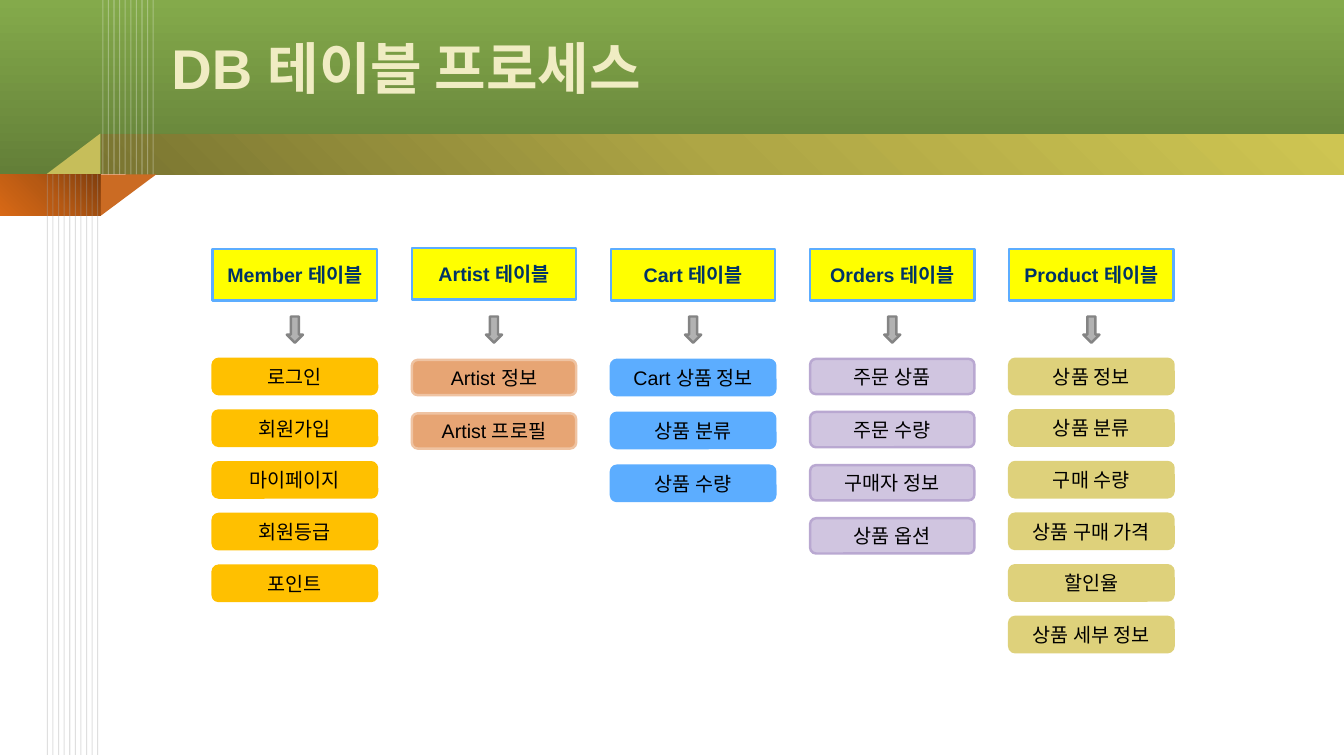
"""Build the slide that lists the database tables and their fields."""
from pptx import Presentation
from pptx.dml.color import RGBColor
from pptx.enum.shapes import MSO_CONNECTOR, MSO_SHAPE
from pptx.enum.text import MSO_ANCHOR, PP_ALIGN
from pptx.oxml import parse_xml
from pptx.oxml.ns import nsdecls, qn
from pptx.util import Inches, Pt

RECT, ROUND = MSO_SHAPE.RECTANGLE, MSO_SHAPE.ROUNDED_RECTANGLE
ARROW, WEDGE = MSO_SHAPE.DOWN_ARROW, MSO_SHAPE.RIGHT_TRIANGLE
LINE = MSO_CONNECTOR.STRAIGHT
MID, LEFT, CENTER = MSO_ANCHOR.MIDDLE, PP_ALIGN.LEFT, PP_ALIGN.CENTER

TITLE = "DB 테이블 프로세스"
TABLES = [
    ("Member 테이블", "gold", "gold", 2.47, 3.56, 0.513,
     ["로그인", "회원가입", "마이페이지", "회원등급", "포인트"]),
    ("Artist 테이블", "peach", "blush", 2.46, 3.57, 0.53,
     ["Artist 정보", "Artist 프로필"]),
    ("Cart 테이블", "blue", "blue", 2.47, 3.57, 0.525,
     ["Cart 상품 정보", "상품 분류", "상품 수량"]),
    ("Orders 테이블", "lilac", "violet", 2.47, 3.56, 0.527,
     ["주문 상품", "주문 수량", "구매자 정보", "상품 옵션"]),
    ("Product 테이블", "sand", "sand", 2.47, 3.56, 0.512,
     ["상품 정보", "상품 분류", "구매 수량", "상품 구매 가격", "할인율", "상품 세부 정보"]),
]
COLORS = {
    "gold": "FFC000", "peach": "E7A574", "blush": "EFC3A2", "blue": "5CADFF",
    "lilac": "D0C5E0", "violet": "B9A8D1", "sand": "DED17B", "yellow": "FFFF00",
    "gray": "B2B2B2", "edge": "848484", "navy": "003366", "black": "000000",
    "cream": "F0ECC3", "rust": "CB6B23", "olive": "C6BE5A",
    "white": "FFFFFF", "ash": "A6A6A6",
}
UP_RIGHT = '<a:lin ang="18900000" scaled="0"/>'
DOWN = '<a:lin ang="5400000" scaled="0"/>'
CORNER = '<a:path path="circle"><a:fillToRect l="100000" b="100000"/></a:path>'
BANDS = [
    ((0, 0, 13.33, 1.73), ["84AA4B", "637F38"], DOWN),
    ((1, 1.33, 12.33, 0.4), ["7A7531", "AEA645", "CEC552"], UP_RIGHT),
    ((0, 1.73, 1, 0.41), ["803E0D", "B65913", "D86916"], CORNER),
]
FOLDS = [((1.07, 1.66, 0.41, 0.55), 90, "rust"),
         ((0.53, 1.26, 0.4, 0.53), 270, "olive")]
STRIPES = [(1.02, 0, 1.73, "white", 30), (0.47, 1.73, 7.49, "ash", 35)]
COUNT, STEP = 10, 0.0555
START, PITCH, WIDE = 2.11, 1.975, 1.63


def rgb(name):
    return RGBColor.from_string(COLORS[name])


def add(slide, kind, box, fill, edge=None):
    shape = slide.shapes.add_shape(kind, *map(Inches, box))
    shape.shadow.inherit = False
    shape.fill.solid()
    shape.fill.fore_color.rgb = rgb(fill)
    if edge:
        shape.line.color.rgb = rgb(edge)
        shape.line.width = Pt(1.75)
    else:
        shape.line.fill.background()
    return shape


def write(shape, text, size, color, bold, align):
    frame = shape.text_frame
    frame.word_wrap = True
    frame.vertical_anchor = MID
    para = frame.paragraphs[0]
    para.alignment = align
    run = para.add_run()
    run.text = text
    font = run.font
    font.name, font.size, font.bold = "Arial", Pt(size), bold
    font.color.rgb = rgb(color)


def shade(shape, stops, path):
    last = len(stops) - 1
    marks = "".join(
        f'<a:gs pos="{100000 * i // last}"><a:srgbClr val="{stop}"/></a:gs>'
        for i, stop in enumerate(stops))
    grad = parse_xml(f'<a:gradFill {nsdecls("a")} rotWithShape="1">'
                     f'<a:gsLst>{marks}</a:gsLst>{path}</a:gradFill>')
    props = shape._element.spPr
    props.replace(props.find(qn("a:solidFill")), grad)


def stripe(slide, x, top, end, color, alpha):
    line = slide.shapes.add_connector(
        LINE, Inches(x), Inches(top), Inches(x), Inches(end))
    line.line.color.rgb = rgb(color)
    line.line.width = Pt(0.75)
    props = line._element.spPr
    tint = next(props.iter(qn("a:srgbClr")))
    tint.append(parse_xml(f'<a:alpha {nsdecls("a")} val="{alpha * 1000}"/>'))
    props.append(parse_xml(f'<a:effectLst {nsdecls("a")}/>'))


def decorate(slide):
    for box, stops, path in BANDS:
        shade(add(slide, RECT, box, "white"), stops, path)
    for box, turn, color in FOLDS:
        add(slide, WEDGE, box, color).rotation = turn
    for x, top, end, color, alpha in STRIPES:
        for i in range(COUNT):
            stripe(slide, x + i * STEP, top, end, color, alpha)


def head(slide):
    title = slide.shapes.title
    title.left, title.top = Inches(1.6), Inches(0.04)
    title.width, title.height = Inches(11.17), Inches(1.25)
    write(title, TITLE, 40, "cream", True, LEFT)
    slide.shapes._spTree.append(title._element)


def chart(slide):
    for col, (name, fill, edge, top, first, gap, fields) in enumerate(TABLES):
        x = START + col * PITCH
        box = add(slide, RECT, (x, top, WIDE, 0.51), "yellow", "blue")
        write(box, name, 14, "navy", True, CENTER)
        add(slide, ARROW, (x + WIDE / 2 - 0.08, 3.14, 0.16, 0.26), "gray", "edge")
        for row, field in enumerate(fields):
            box = add(slide, ROUND, (x, first + row * gap, WIDE, 0.35), fill, edge)
            write(box, field, 14, "black", False, CENTER)


def main():
    deck = Presentation()
    deck.slide_width, deck.slide_height = Inches(13.33), Inches(7.5)
    slide = deck.slides.add_slide(deck.slide_layouts[5])
    decorate(slide)
    head(slide)
    chart(slide)
    deck.save("out.pptx")


if __name__ == "__main__":
    main()
